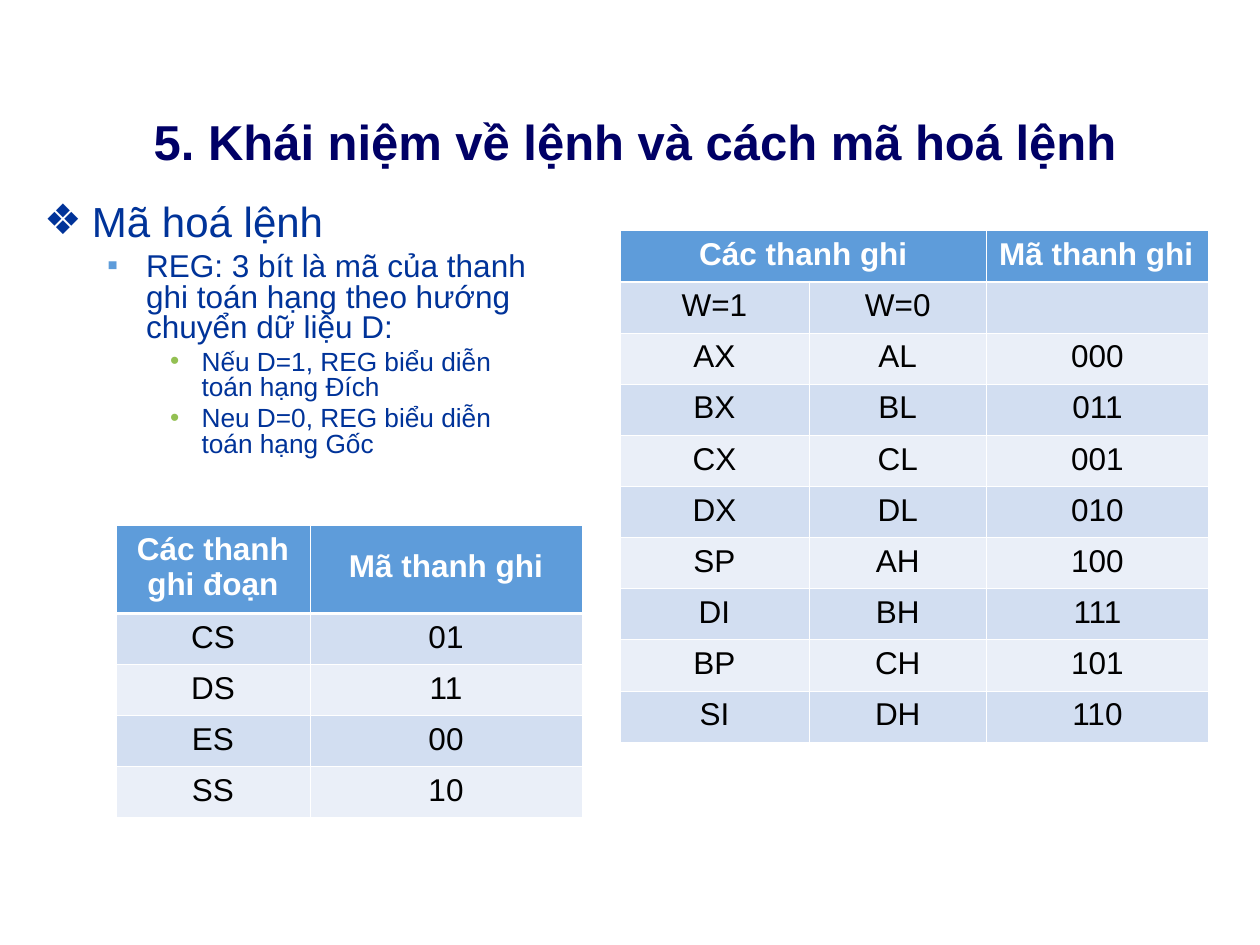
from dataclasses import dataclass

from lxml import etree
from pptx import Presentation
from pptx.dml.color import RGBColor
from pptx.enum.text import MSO_ANCHOR, MSO_AUTO_SIZE, PP_ALIGN
from pptx.oxml.ns import qn
from pptx.util import Inches, Pt

CENTER, LEFT = PP_ALIGN.CENTER, PP_ALIGN.LEFT
MIDDLE, TOP = MSO_ANCHOR.MIDDLE, MSO_ANCHOR.TOP
NO_AUTOFIT = MSO_AUTO_SIZE.NONE


@dataclass(frozen=True)
class Theme:
    font: str = "Arial"
    title: str = "000066"
    body: str = "003399"
    square: str = "5E9CDA"
    dot: str = "93C052"
    header: str = "5E9CDA"
    bands: tuple = ("D2DEF1", "EAEFF8")
    white: str = "FFFFFF"
    black: str = "000000"
    title_size: int = 28
    list_sizes: tuple = (24, 18, 15)
    table_size: int = 18
    thin: float = 0.45
    thick: float = 1.47


theme = Theme()


def style(paragraph, size, color, bold=False):
    font = paragraph.font
    font.name, font.size, font.bold = theme.font, Pt(size), bold
    font.color.rgb = RGBColor.from_string(color)


def add_register_table(left, top, widths, heights, rows):
    table = slide.shapes.add_table(
        len(rows), len(widths), Inches(left), Inches(top),
        Inches(sum(widths)), Inches(sum(heights))).table
    table.horz_banding = False
    for column, width in zip(table.columns, widths):
        column.width = Inches(width)
    for r, (row, height) in enumerate(zip(rows, heights)):
        table.rows[r].height = Inches(height)
        for c, value in enumerate(row):
            cell = table.cell(r, c)
            # White grid, heavier below the header
            edges = {"L": theme.thin, "R": theme.thin,
                     "T": theme.thick if r == 1 else theme.thin,
                     "B": theme.thick if r == 0 else theme.thin}
            for side, width in edges.items():
                line = etree.SubElement(cell._tc.get_or_add_tcPr(),
                                        qn(f"a:ln{side}"), w=str(Pt(width)))
                paint = etree.SubElement(line, qn("a:solidFill"))
                etree.SubElement(paint, qn("a:srgbClr"), val=theme.white)
            cell.fill.solid()
            fill = theme.header if r == 0 else theme.bands[(r - 1) % 2]
            cell.fill.fore_color.rgb = RGBColor.from_string(fill)
            cell.text = value
            paragraph = cell.text_frame.paragraphs[0]
            paragraph.alignment = CENTER
            style(paragraph, theme.table_size,
                  theme.white if r == 0 else theme.black, bold=r == 0)
    return table


prs = Presentation()
prs.slide_width, prs.slide_height = Inches(10), Inches(7.5)
slide = prs.slides.add_slide(prs.slide_layouts[1])

# Title
title = slide.shapes.title
title.left, title.top = Inches(0.25), Inches(0.83)
title.width, title.height = Inches(9.58), Inches(0.57)
title.text_frame.text = "5. Khái niệm về lệnh và cách mã hoá lệnh"
title.text_frame.auto_size = NO_AUTOFIT
title.text_frame.vertical_anchor = MIDDLE
heading = title.text_frame.paragraphs[0]
heading.alignment = CENTER
style(heading, theme.title_size, theme.title, bold=True)

# Outline: bullet, bullet colour, left margin, hanging indent, space before
levels = [
    ("❖", theme.body, 0.38, 0.38, 6),
    ("▪", theme.square, 0.81, 0.31, 4.5),
    ("•", theme.dot, 1.25, 0.25, 3.7),
]
outline = [
    (0, "Mã hoá lệnh"),
    (1, "REG: 3 bít là mã của thanh ghi toán hạng theo hướng chuyển dữ liệu D:"),
    (2, "Nếu D=1, REG biểu diễn toán hạng Đích"),
    (2, "Neu D=0, REG biểu diễn toán hạng Gốc"),
]
body = slide.placeholders[1]
body.left, body.top = Inches(0.25), Inches(1.58)
body.width, body.height = Inches(4.08), Inches(2.25)
body.text_frame.text = "\n".join(text for _, text in outline)
body.text_frame.auto_size = NO_AUTOFIT
body.text_frame.vertical_anchor = TOP
for paragraph, (level, _) in zip(body.text_frame.paragraphs, outline):
    bullet, bullet_color, margin, hanging, space = levels[level]
    paragraph.level = level
    paragraph.alignment = LEFT
    paragraph.line_spacing = 0.8
    paragraph.space_before = Pt(space)
    props = paragraph._p.get_or_add_pPr()
    props.set("marL", str(Inches(margin)))
    props.set("indent", str(-Inches(hanging)))
    tint = etree.SubElement(props, qn("a:buClr"))
    etree.SubElement(tint, qn("a:srgbClr"), val=bullet_color)
    etree.SubElement(props, qn("a:buFont"), typeface=theme.font)
    etree.SubElement(props, qn("a:buChar"), char=bullet)
    style(paragraph, theme.list_sizes[level], theme.body)

# Segment registers
segment_rows = [("Các thanh ghi đoạn", "Mã thanh ghi"),
                ("CS", "01"), ("DS", "11"), ("ES", "00"), ("SS", "10")]
segments = add_register_table(0.92, 4.17, [1.54, 2.16],
                              [0.7] + [1.62 / 4] * 4, segment_rows)
segments.cell(0, 1).text_frame.paragraphs[0].line_spacing = 1.5

# General registers
general_rows = [
    ("Các thanh ghi", "", "Mã thanh ghi"),
    ("W=1", "W=0", ""),
    ("AX", "AL", "000"),
    ("BX", "BL", "011"),
    ("CX", "CL", "001"),
    ("DX", "DL", "010"),
    ("SP", "AH", "100"),
    ("DI", "BH", "111"),
    ("BP", "CH", "101"),
    ("SI", "DH", "110"),
]
general = add_register_table(4.92, 1.83, [1.5, 1.41, 1.76],
                             [4.06 / 10] * 10, general_rows)
general.cell(0, 0).merge(general.cell(0, 1))
general.cell(0, 2).text_frame.paragraphs[0].alignment = LEFT

prs.save("out.pptx")
